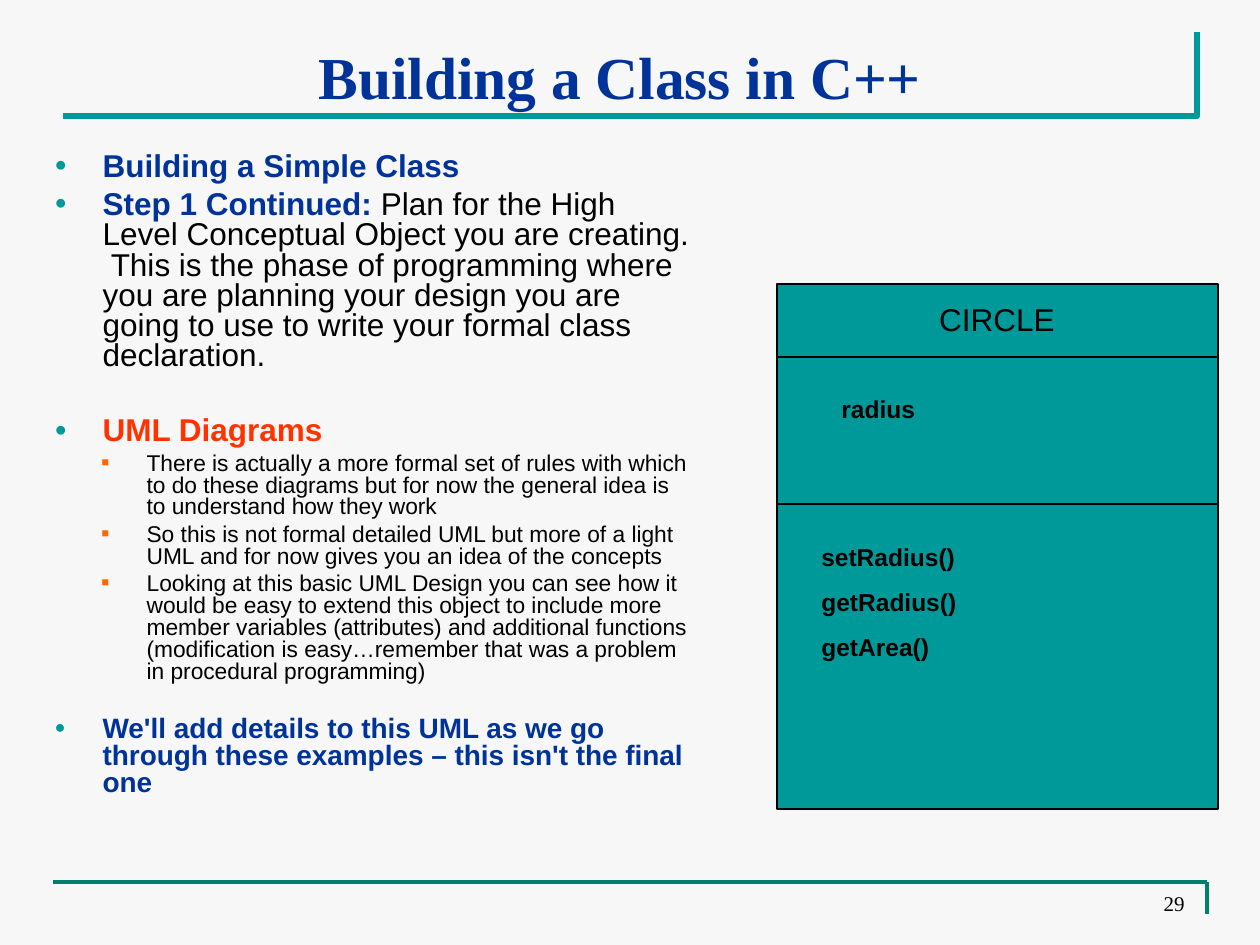
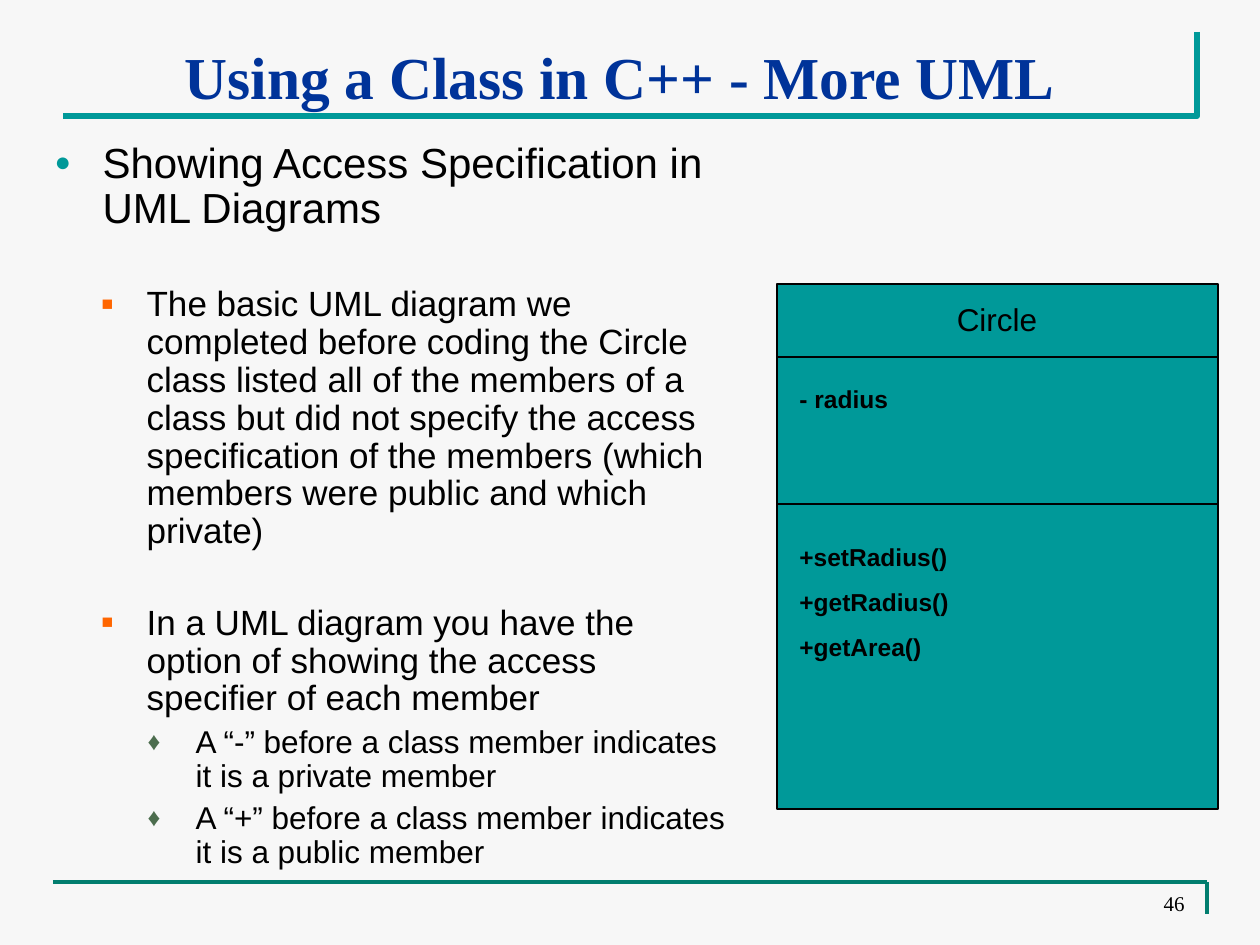
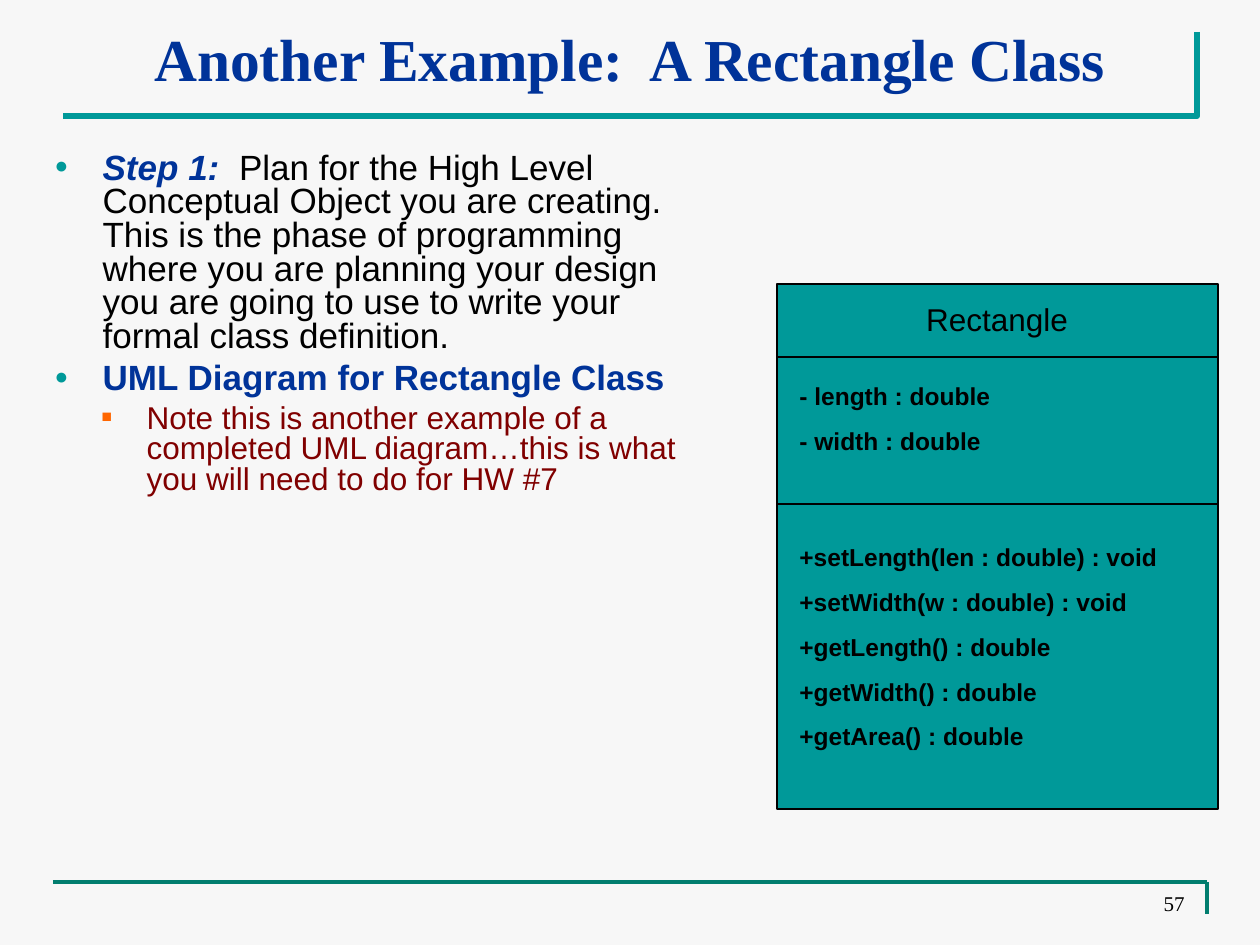
import pptx
import pptx.dml.color
import pptx.enum.shapes
import pptx.enum.text
import pptx.oxml.ns
import pptx.util
from lxml import etree

PX = 914400 / 126
NAVY, TEAL, DARK_TEAL, BLACK = "003399", "009999", "027E6F", "000000"
RED, MAROON, PAPER = "FF3300", "800000", "F7F7F7"
SANS, SERIF = "Arial", "Times New Roman"
BOLD, PLAIN = {"bold": True}, {"bold": False}
BOLD_ITALIC = {"bold": True, "italic": True}
ALIGN = pptx.enum.text.PP_ALIGN
ANCHOR = pptx.enum.text.MSO_ANCHOR
AUTO = pptx.enum.text.MSO_AUTO_SIZE

# level: left margin px, hanging px, bullet, bullet colour, bullet percent
LEVELS = [
    (48, 48, "●", TEAL, 65),
    (92, 45, "■", "FF6600", 55),
    (141, 48, "♦", "4C6D4E", 80),
]


def px(n):
    """Turn px into EMU."""
    return pptx.util.Emu(round(n * PX))


def rgb(value):
    """Turn a hex string into a colour."""
    return pptx.dml.color.RGBColor.from_string(value)


def apply(obj, **values):
    """Set each named attribute on an object."""
    for name, value in values.items():
        setattr(obj, name, value)


def place(sp, box):
    """Move and size a shape to a px box."""
    apply(sp, **dict(zip(("left", "top", "width", "height"), map(px, box))))


def add_run(p, text, size, color=BLACK, font=SANS, style=PLAIN):
    """Add a formatted run to a paragraph."""
    r = p.add_run()
    r.text = text
    apply(r.font, name=font, size=pptx.util.Pt(size), **style)
    r.font.color.rgb = rgb(color)


def paragraphs(tf, items):
    """Yield one paragraph of a text frame with each item."""
    for i, item in enumerate(items):
        yield (tf.add_paragraph() if i else tf.paragraphs[0]), item


def add_line(s, x1, y1, x2, y2, color, width):
    """Add a straight line without a shadow."""
    straight = pptx.enum.shapes.MSO_CONNECTOR.STRAIGHT
    sp = s.shapes.add_connector(straight, px(x1), px(y1), px(x2), px(y2))
    sp.line.color.rgb = rgb(color)
    sp.line.width = pptx.util.Pt(width)
    etree.SubElement(sp.element.spPr, pptx.oxml.ns.qn("a:effectLst"))
    return sp


def add_title_corner(s):
    """Add the open corner under and beside the title."""
    builder = s.shapes.build_freeform(1197, 32, scale=PX)
    builder.add_line_segments([(1197, 116), (63, 116)], close=False)
    sp = builder.convert_to_shape()
    sp.shadow.inherit = False
    sp.fill.background()
    sp.line.color.rgb = rgb(TEAL)
    sp.line.width = pptx.util.Pt(3.5)
    return sp


def decorate_master(prs, s):
    """Give the master its background, title corner and footer lines."""
    master = prs.slide_master
    master.background.fill.solid()
    master.background.fill.fore_color.rgb = rgb(PAPER)
    for sp in (
        add_title_corner(s),
        add_line(s, 53, 882, 1207, 882, DARK_TEAL, 2.25),
        add_line(s, 1207, 882, 1207, 914, DARK_TEAL, 2.25),
    ):
        master.shapes.element.append(sp.element)


def set_title(s, text, box):
    """Fill the title placeholder."""
    sp = s.shapes.title
    place(sp, box)
    tf = sp.text_frame
    apply(tf, word_wrap=True, auto_size=AUTO.NONE,
          vertical_anchor=ANCHOR.TOP, margin_top=px(12))
    p = tf.paragraphs[0]
    p.alignment = ALIGN.CENTER
    add_run(p, text, 34, NAVY, SERIF, BOLD)


def set_bullet(p, level):
    """Give a paragraph the indent and bullet of its level."""
    margin, hanging, char, color, percent = LEVELS[level]
    qn = pptx.oxml.ns.qn
    p.level = level
    pPr = p._p.get_or_add_pPr()
    pPr.set("marL", str(px(margin)))
    pPr.set("indent", str(-px(hanging)))
    clr = etree.SubElement(pPr, qn("a:buClr"))
    etree.SubElement(clr, qn("a:srgbClr"), val=color)
    etree.SubElement(pPr, qn("a:buSzPct"), val=str(percent * 1000))
    etree.SubElement(pPr, qn("a:buChar"), char=char)


def set_body(s, box, spacing, items):
    """Fill the body placeholder with (level, size, gap size, runs) items."""
    sp = s.placeholders[1]
    place(sp, box)
    tf = sp.text_frame
    apply(tf, word_wrap=True, auto_size=AUTO.NONE, vertical_anchor=ANCHOR.TOP)
    for p, (level, size, gap, runs) in paragraphs(tf, items):
        before = size / 4 + gap * (1.15 * spacing + 0.25)
        apply(p, alignment=ALIGN.LEFT, line_spacing=spacing,
              space_before=pptx.util.Pt(round(before, 1)),
              space_after=pptx.util.Pt(0))
        set_bullet(p, level)
        for text, color, style in runs:
            add_run(p, text, size, color, style=style)


def add_text(s, box, lines, size, before=0, align=ALIGN.LEFT, font=SANS,
             style=PLAIN, anchor=ANCHOR.TOP, auto=AUTO.SHAPE_TO_FIT_TEXT):
    """Add a text box with one paragraph a line."""
    tf = s.shapes.add_textbox(*map(px, box)).text_frame
    apply(tf, word_wrap=True, auto_size=auto, vertical_anchor=anchor)
    for p, line in paragraphs(tf, lines):
        apply(p, alignment=align, space_before=pptx.util.Pt(before))
        add_run(p, line, size, font=font, style=style)


def add_members(s, x, y, w, lines):
    """Add the bold member lines of one class compartment."""
    height = 43 + 45 * (len(lines) - 1)
    add_text(s, (x, y, w, height), lines, 14, 8.8, style=BOLD)


def add_class_diagram(s, name, attributes, methods):
    """Add a class box with name, attribute and method compartments."""
    left, top, width, height = 777, 284, 441, 525
    rect = pptx.enum.shapes.MSO_SHAPE.RECTANGLE
    sp = s.shapes.add_shape(rect, *map(px, (left, top, width, height)))
    sp.shadow.inherit = False
    sp.fill.solid()
    sp.fill.fore_color.rgb = rgb(TEAL)
    sp.line.color.rgb = rgb(BLACK)
    sp.line.width = pptx.util.Pt(0.75)
    for y in (357, 504):
        add_line(s, left, y, left + width, y, BLACK, 0.75)
    add_text(s, (829, 294, 336, 50), [name], 18, 11.2, ALIGN.CENTER)
    add_members(s, *attributes)
    add_members(s, *methods)


def add_page_number(s, number):
    """Add the page number at the lower right."""
    add_text(s, (903, 892, 294, 30), [str(number)], 12, align=ALIGN.RIGHT,
             font=SERIF, anchor=ANCHOR.BOTTOM, auto=AUTO.NONE)


SLIDES = [
    {
        "title": ("Building a Class in C++", (53, 28, 1134, 48)),
        "body": ((42, 147, 662, 777), 0.8, [
            (0, 18, 0, [("Building a Simple Class", NAVY, BOLD)]),
            (0, 18, 0, [
                ("Step 1 Continued:", NAVY, BOLD),
                (" Plan for the High Level Conceptual Object you are "
                 "creating.  This is the phase of programming where you are "
                 "planning your design you are going to use to write your "
                 "formal class declaration.", BLACK, PLAIN)]),
            (0, 18, 18, [("UML Diagrams", RED, BOLD)]),
            (1, 13, 0, [
                ("There is actually a more formal set of rules with which to "
                 "do these diagrams but for now the general idea is to "
                 "understand how they work", BLACK, PLAIN)]),
            (1, 13, 0, [
                ("So this is not formal detailed UML but more of a light UML "
                 "and for now gives you an idea of the concepts",
                 BLACK, PLAIN)]),
            (1, 13, 0, [
                ("Looking at this basic UML Design you can see how it would "
                 "be easy to extend this object to include more member "
                 "variables (attributes) and additional functions "
                 "(modification is easy…remember that was a problem in "
                 "procedural programming)", BLACK, PLAIN)]),
            (0, 16, 13, [
                ("We'll add details to this UML as we go through these "
                 "examples – this isn't the final one", NAVY, BOLD)]),
        ]),
        "diagram": (
            "CIRCLE",
            (829, 388, 357, ["radius"]),
            (809, 536, 378, ["setRadius()", "getRadius()", "getArea()"]),
        ),
        "number": 29,
    },
    {
        "title": ("Using a Class in C++ - More UML", (53, 28, 1134, 48)),
        "body": ((42, 136, 703, 766), 0.9, [
            (0, 24, 0, [("Showing Access Specification in UML Diagrams",
                         BLACK, PLAIN)]),
            (1, 20, 20, [
                ("The basic UML diagram we completed before coding the "
                 "Circle class listed all of the members of a class but did "
                 "not specify the access specification of the members (which "
                 "members were public and which private)", BLACK, PLAIN)]),
            (1, 20, 20, [
                ("In a UML diagram you have the option of showing the access "
                 "specifier of each member", BLACK, PLAIN)]),
            (2, 18, 0, [
                ("A “-” before a class member indicates it is a private "
                 "member", BLACK, PLAIN)]),
            (2, 18, 0, [
                ("A “+” before a class member indicates it is a public "
                 "member", BLACK, PLAIN)]),
        ]),
        "diagram": (
            "Circle",
            (787, 378, 357, ["- radius"]),
            (787, 536, 378, ["+setRadius()", "+getRadius()", "+getArea()"]),
        ),
        "number": 46,
    },
    {
        "title": ("Another Example:  A Rectangle Class", (63, 10, 1134, 98)),
        "body": ((42, 147, 683, 441), 0.8, [
            (0, 20, 0, [
                ("Step 1:  ", NAVY, BOLD_ITALIC),
                ("Plan for the High Level Conceptual Object you are "
                 "creating.  This is the phase of programming where you are "
                 "planning your design you are going to use to write your "
                 "formal class definition.", BLACK, PLAIN)]),
            (0, 20, 0, [("UML Diagram for Rectangle Class", NAVY, BOLD)]),
            (1, 18, 0, [
                ("Note this is another example of a completed UML "
                 "diagram…this is what you will need to do for HW #7",
                 MAROON, PLAIN)]),
        ]),
        "diagram": (
            "Rectangle",
            (787, 375, 357, ["- length : double", "- width : double"]),
            (787, 536, 420, [
                "+setLength(len : double) : void",
                "+setWidth(w : double) : void",
                "+getLength() : double",
                "+getWidth() : double",
                "+getArea() : double"]),
        ),
        "number": 57,
    },
]


def main():
    """Build the slides and save them."""
    prs = pptx.Presentation()
    apply(prs, slide_width=px(1260), slide_height=px(945))
    for i, content in enumerate(SLIDES):
        s = prs.slides.add_slide(prs.slide_layouts[1])
        if i == 0:
            decorate_master(prs, s)
        set_title(s, *content["title"])
        set_body(s, *content["body"])
        add_class_diagram(s, *content["diagram"])
        add_page_number(s, content["number"])
    prs.save("out.pptx")


if __name__ == "__main__":
    main()
